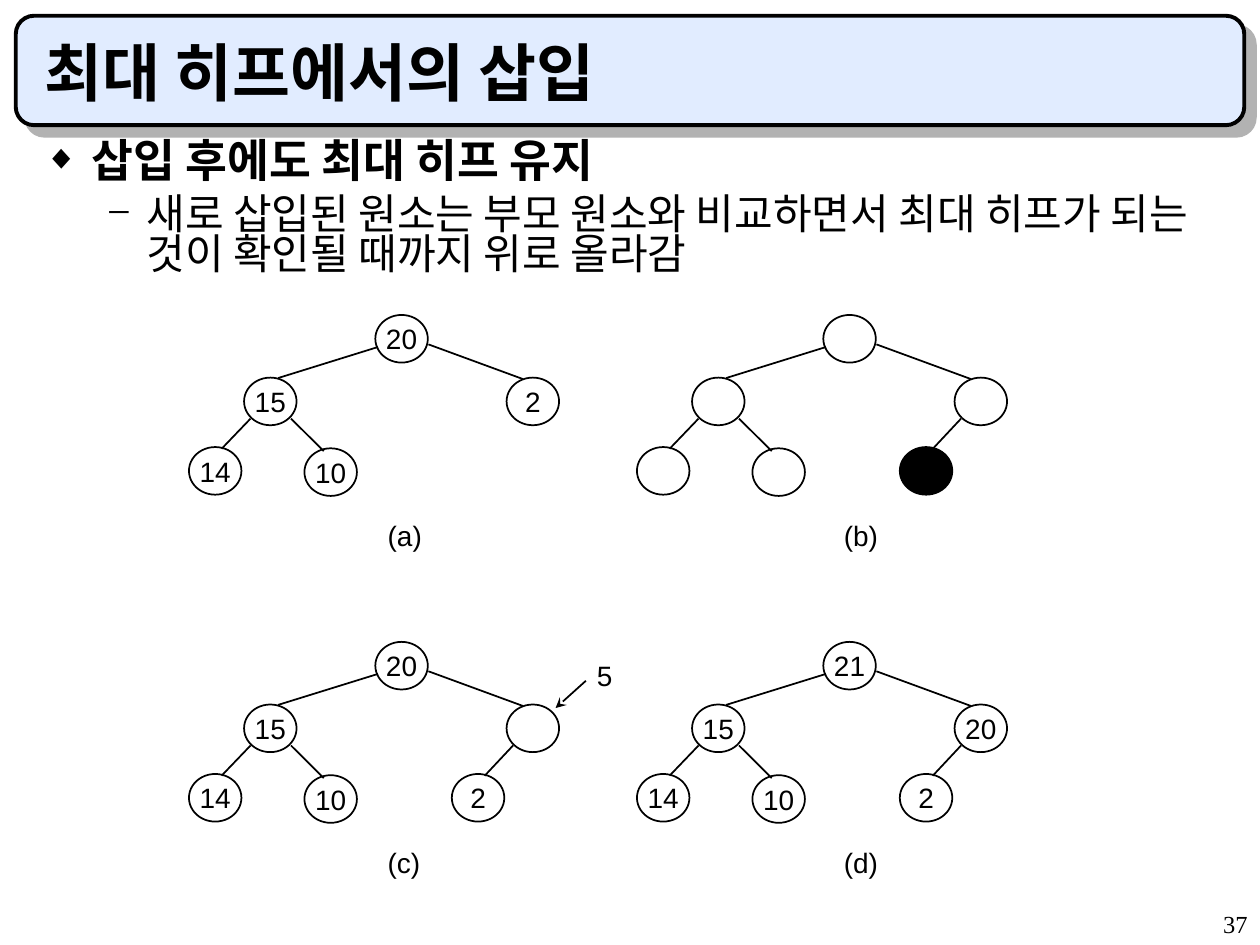
import pptx
import pptx.util
import pptx.dml.color
import pptx.enum.shapes
import pptx.enum.text
import pptx.oxml.ns
from lxml import etree

Pt = pptx.util.Pt
SHAPE = pptx.enum.shapes.MSO_SHAPE
ALIGN = pptx.enum.text.PP_ALIGN
ANCHOR = pptx.enum.text.MSO_ANCHOR
BLACK, WHITE_BLUE, GREY = "000000", "E1ECFF", "B2B2B2"
KOREAN, SANS, SERIF = "Noto Sans CJK KR", "Arial", "Times New Roman"

# Content
TITLE = "최대 히프에서의 삽입"
# text, level, size, bold, left margin, hanging, bullet, bullet percent, space before
BODY = [
    ("삽입 후에도 최대 히프 유지", 0, 26, True, 27, 27, "◆", 75, 0),
    ("새로 삽입된 원소는 부모 원소와 비교하면서 최대 히프가 되는 것이 확인될 때까지 위로 올라감",
     1, 24, False, 58.5, 22.5, "−", 100, 6),
]
PAGE = "37"
NEW = "new"  # the added, filled node
# caption, caption x, column, row, labels of the nodes
TREES = [
    ("(a)", 214.5, 0, 0, {"root": "20", "l": "15", "r": "2", "ll": "14", "lr": "10"}),
    ("(b)", 475.2, 1, 0, {"root": "", "l": "", "r": "", "ll": "", "lr": "", "rl": NEW}),
    ("(c)", 214.5, 0, 1, {"root": "20", "l": "15", "r": "", "ll": "14", "lr": "10", "rl": "2"}),
    ("(d)", 475.2, 1, 1, {"root": "21", "l": "15", "r": "20", "ll": "14", "lr": "10", "rl": "2"}),
]

# Tree layout, for the first tree
COL_STEP, ROW_STEP = 256, 186.8
NODE_W, NODE_H = 30, 27.2
NODES = {"root": (214.5, 180), "l": (139.5, 215.8), "r": (289.5, 215.8),
         "ll": (108, 255.5), "lr": (174, 256.2), "rl": (258.2, 255.5)}
# edge to each child: from x, y, to x, y
EDGES = {"l": (216, 198.3, 159, 216), "r": (244.8, 196.8, 298.8, 216.6),
         "ll": (143.2, 239.2, 126.7, 256.4), "lr": (166.3, 239.2, 185, 257.8),
         "rl": (293.2, 239.2, 277, 256.5)}


def rgb(value):
    return pptx.dml.color.RGBColor.from_string(value)


def sub(parent, tag, **attrs):
    return etree.SubElement(parent, pptx.oxml.ns.qn("a:" + tag), attrs)


def add_run(p, text, size, font, bold=False):
    r = p.add_run()
    r.text = text
    r.font.size, r.font.name, r.font.bold = Pt(size), font, bold
    r.font.color.rgb = rgb(BLACK)
    sub(r.font._element, "ea", typeface=KOREAN)


def place(sp, x, y, w, h):
    sp.left, sp.top, sp.width, sp.height = Pt(x), Pt(y), Pt(w), Pt(h)


def add_shape(shapes, kind, x, y, w, h, fill=None, line=1):
    sp = shapes.add_shape(kind, Pt(x), Pt(y), Pt(w), Pt(h))
    sp.shadow.inherit = False
    if fill:
        sp.fill.solid()
        sp.fill.fore_color.rgb = rgb(fill)
    else:
        sp.fill.background()
    sp.line.color.rgb, sp.line.width = rgb(BLACK), Pt(line)
    return sp


def add_text(shapes, text, x, y, w, h, size=16, font=SANS, align=ALIGN.LEFT, wrap=False):
    tf = shapes.add_textbox(Pt(x), Pt(y), Pt(w), Pt(h)).text_frame
    tf.word_wrap = wrap
    tf.paragraphs[0].alignment = align
    add_run(tf.paragraphs[0], text, size, font)


def add_line(shapes, x1, y1, x2, y2, arrow=False):
    line = shapes.add_connector(pptx.enum.shapes.MSO_CONNECTOR.STRAIGHT,
                                Pt(x1), Pt(y1), Pt(x2), Pt(y2))
    line.line.color.rgb, line.line.width = rgb(BLACK), Pt(1)
    if arrow:
        sub(line.line._get_or_add_ln(), "tailEnd", type="stealth")
    sub(line._element.spPr, "effectLst")


def add_tree(shapes, caption, caption_x, col, row, labels):
    dx, dy = col * COL_STEP, row * ROW_STEP
    for name, label in labels.items():
        x, y = NODES[name]
        sp = add_shape(shapes, SHAPE.OVAL, x + dx, y + dy, NODE_W, NODE_H,
                       BLACK if label == NEW else None)
        if label and label != NEW:
            tf = sp.text_frame
            tf.word_wrap, tf.vertical_anchor = False, ANCHOR.MIDDLE
            tf.paragraphs[0].alignment = ALIGN.CENTER
            add_run(tf.paragraphs[0], label, 16, SANS)
        if name in EDGES:
            x1, y1, x2, y2 = EDGES[name]
            add_line(shapes, x1 + dx, y1 + dy, x2 + dx, y2 + dy)
    add_text(shapes, caption, caption_x, 293 + dy, 33.8, 26.6)


def main():
    prs = pptx.Presentation()
    prs.slide_width, prs.slide_height = Pt(720), Pt(540)
    s = prs.slides.add_slide(prs.slide_layouts[1])
    title, body = s.placeholders[0], s.placeholders[1]

    # Title bar, behind the title
    bar = add_shape(s.shapes, SHAPE.ROUNDED_RECTANGLE, 9, 9, 702, 62.5, WHITE_BLUE, 2.25)
    shadow = sub(bar._element.spPr.find(pptx.oxml.ns.qn("a:effectLst")), "outerShdw",
                 blurRad="0", dist=str(Pt(8.5)), dir="2700000", algn="ctr", rotWithShape="0")
    sub(shadow, "srgbClr", val=GREY)
    s.shapes._spTree.insert(2, bar._element)

    # Title
    place(title, 18, 18, 678, 48)
    tf = title.text_frame
    tf.vertical_anchor, tf.word_wrap = ANCHOR.BOTTOM, True
    tf.auto_size = pptx.enum.text.MSO_AUTO_SIZE.NONE
    tf.paragraphs[0].alignment = ALIGN.LEFT
    add_run(tf.paragraphs[0], TITLE, 36, KOREAN, True)

    # Body list
    place(body, 18, 78, 678, 420)
    tf = body.text_frame
    tf.auto_size = pptx.enum.text.MSO_AUTO_SIZE.NONE
    for i, (text, level, size, bold, left, hang, bullet, percent, before) in enumerate(BODY):
        p = tf.paragraphs[0] if i == 0 else tf.add_paragraph()
        p.level = level
        pPr = p._p.get_or_add_pPr()
        pPr.set("marL", str(Pt(left)))
        pPr.set("indent", str(-Pt(hang)))
        sub(sub(pPr, "buClr"), "srgbClr", val=BLACK)
        sub(pPr, "buSzPct", val=str(percent * 1000))
        sub(pPr, "buFont", typeface=SERIF)
        sub(pPr, "buChar", char=bullet)
        p.line_spacing, p.space_before = 0.8, Pt(before)
        add_run(p, text, size, SERIF, bold)

    # Heaps
    shapes = s.shapes.add_group_shape().shapes
    for tree in TREES:
        add_tree(shapes, *tree)

    # Value 5 and its arrow to the empty node
    add_line(shapes, 334.8, 389, 317.5, 404.6, arrow=True)
    add_text(shapes, "5", 334, 372.5, 23.8, 26.6)

    # Page number
    add_text(s.shapes, PAGE, 570, 516, 150, 24, 14, SERIF, ALIGN.RIGHT, True)
    prs.save("out.pptx")


if __name__ == "__main__":
    main()
